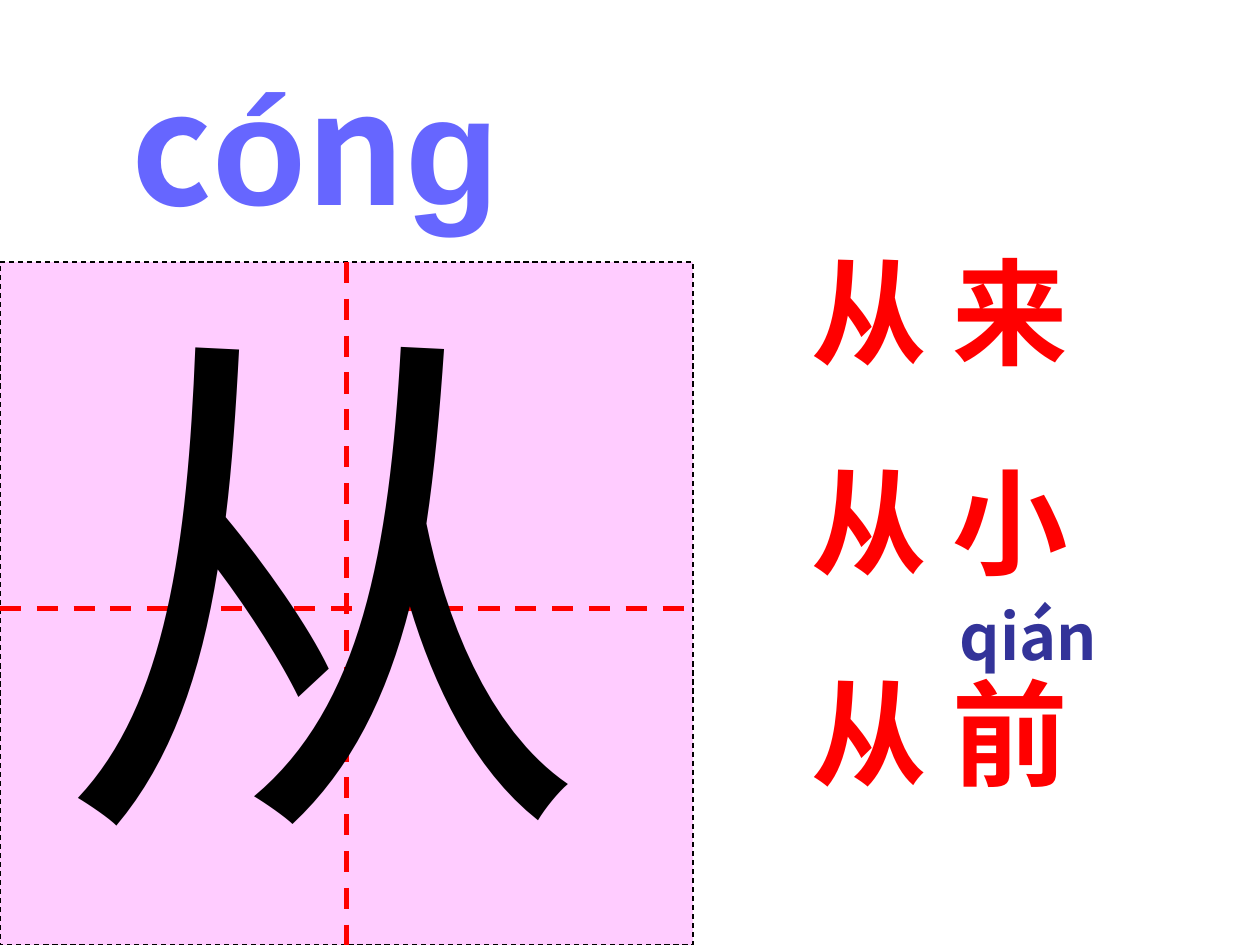
from typing import NamedTuple

from pptx import Presentation
from pptx.dml.color import RGBColor
from pptx.enum.dml import MSO_LINE_DASH_STYLE as Dash
from pptx.enum.shapes import MSO_CONNECTOR as Connector, MSO_SHAPE as Shape
from pptx.enum.text import MSO_AUTO_SIZE as AutoSize
from pptx.oxml.ns import qn
from pptx.util import Inches, Pt
from lxml.etree import SubElement

COLORS = {"paper": "FFCCFF", "guide": "FF0000", "border": "000000",
          "character": "000000", "words": "FF0000",
          "pinyin": "6666FF", "hint": "333399"}
SERIF, SANS, ARIAL = "Times New Roman", "Noto Sans CJK SC", "Arial"
WIDTH, HEIGHT = 10, 7.5


class Box(NamedTuple):
    left: float
    top: float
    width: float
    height: float


class Run(NamedTuple):
    text: str
    font: str


GRID = Box(0, 2.08, 0.55 * WIDTH, HEIGHT - 2.08)
MIDDLE_X = GRID.left + GRID.width / 2
MIDDLE_Y = 4.83


def color(name: str) -> RGBColor:
    return RGBColor.from_string(COLORS[name])


def style_line(line, name: str, width: float) -> None:
    line.color.rgb = color(name)
    line.width = Pt(width)
    line.dash_style = Dash.DASH


def add_guide(shapes, start: tuple[float, float], end: tuple[float, float]):
    guide = shapes.add_connector(Connector.STRAIGHT, *map(Inches, start + end))
    style_line(guide.line, "guide", 3)
    SubElement(guide._element.spPr, qn("a:effectLst"))
    return guide


def add_practice_grid(slide) -> None:
    """Draw the writing square with its dashed centre lines."""
    shapes = slide.shapes.add_group_shape().shapes
    square = shapes.add_shape(Shape.RECTANGLE, *map(Inches, GRID))
    square.shadow.inherit = False
    square.fill.solid()
    square.fill.fore_color.rgb = color("paper")
    style_line(square.line, "border", 0.75)
    right, bottom = GRID.left + GRID.width, GRID.top + GRID.height
    add_guide(shapes, (GRID.left, MIDDLE_Y), (right, MIDDLE_Y))
    vertical = add_guide(shapes, (MIDDLE_X, GRID.top), (MIDDLE_X, bottom))
    vertical.begin_connect(square, 0)
    vertical.end_connect(square, 2)


def add_text(slide, box: Box, lines: list[list[Run]], *, size: float,
             fill: str, bold: bool = True, gap: float = 0) -> None:
    frame = slide.shapes.add_textbox(*map(Inches, box)).text_frame
    frame.word_wrap = True
    frame.auto_size = AutoSize.SHAPE_TO_FIT_TEXT
    for index, runs in enumerate(lines):
        paragraph = frame.add_paragraph() if index else frame.paragraphs[0]
        if index:
            paragraph.space_before = Pt(gap)
        for text, font_name in runs:
            run = paragraph.add_run()
            run.text = text
            run.font.name = font_name
            run.font.size = Pt(size)
            run.font.bold = bold
            run.font.color.rgb = color(fill)


def main() -> None:
    presentation = Presentation()
    presentation.slide_width = Inches(WIDTH)
    presentation.slide_height = Inches(HEIGHT)
    slide = presentation.slides.add_slide(presentation.slide_layouts[6])

    add_practice_grid(slide)
    add_text(slide, Box(0.35, 1.94, 4.83, 5.19), [[Run("从", SERIF)]],
             size=305, fill="character", bold=False)
    words = ["从 来", "从 小", "从 前"]
    add_text(slide, Box(6.34, 1.86, 2.92, 6.22),
             [[Run(word, SERIF)] for word in words],
             size=66, fill="words", gap=41.2)
    syllable = [Run(" c", SANS), Run("ó", ARIAL), Run("n", SANS), Run("ɡ", ARIAL)]
    add_text(slide, Box(0.67, 0.36, 3.5, 1.57), [syllable],
             size=88, fill="pinyin")
    add_text(slide, Box(7.52, 4.69, 1.5, 0.7), [[Run("qián", SANS)]],
             size=36, fill="hint")

    presentation.save("out.pptx")


if __name__ == "__main__":
    main()
